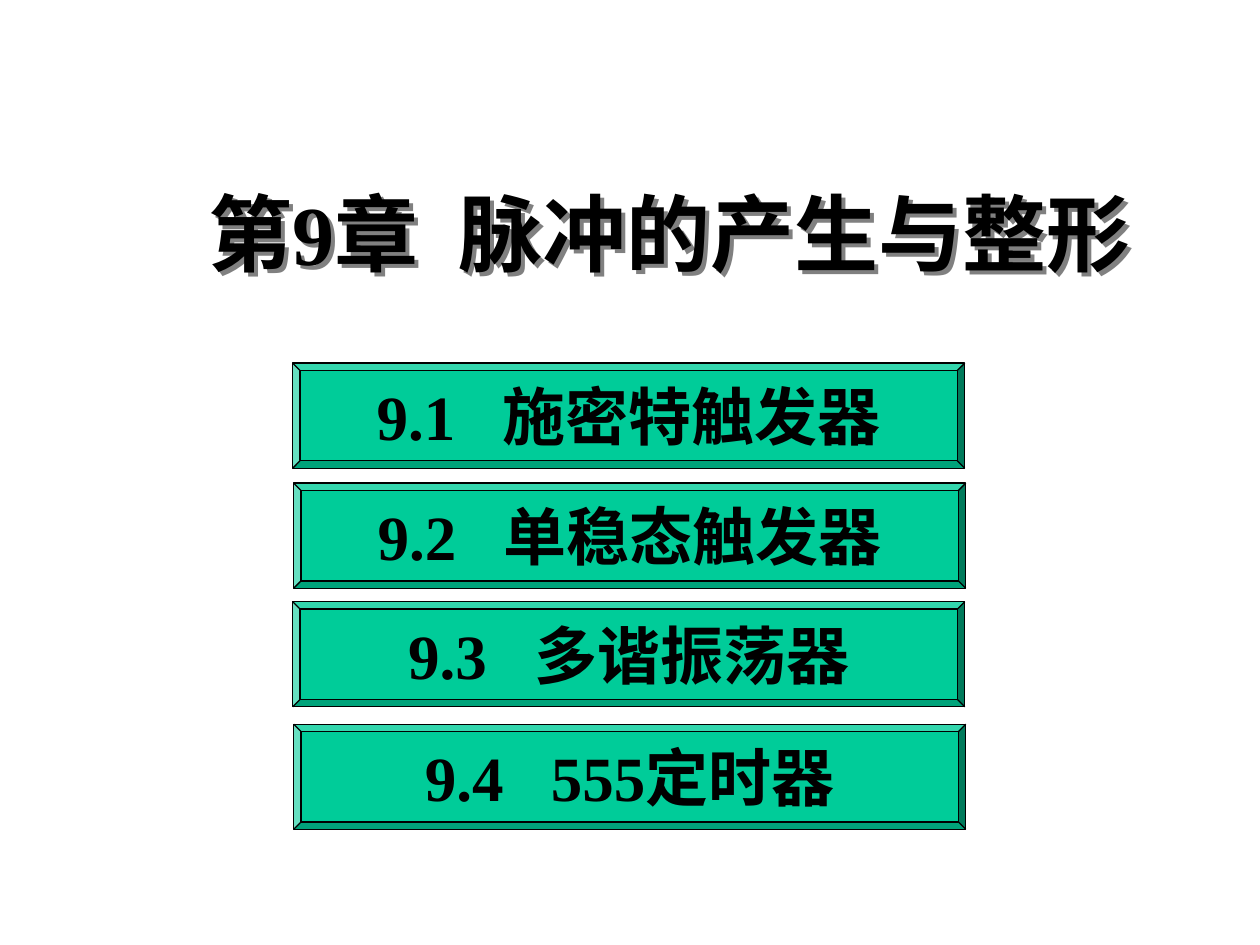
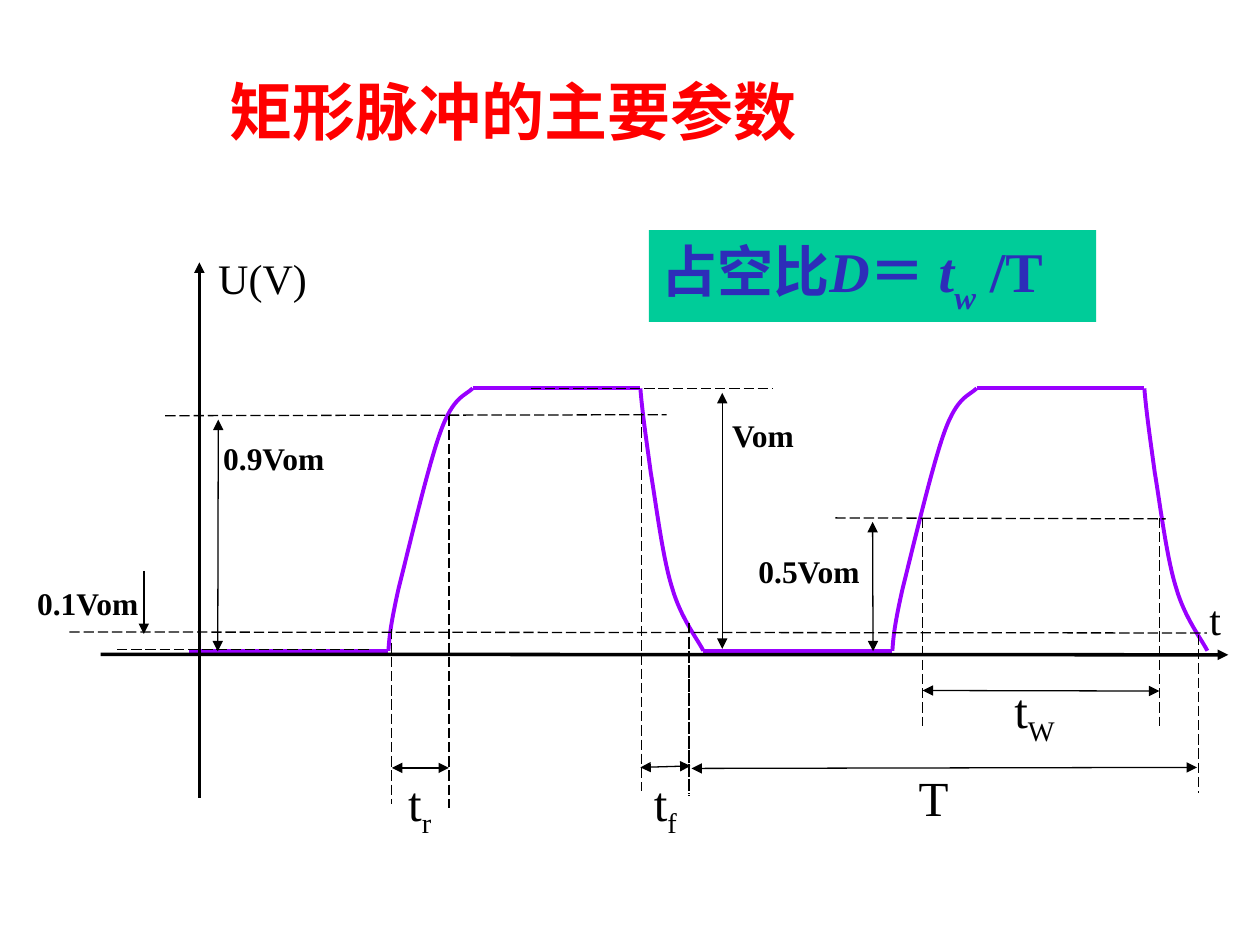
"""Build two slides on pulse generation and the parameters of a rectangular pulse."""
from lxml.etree import SubElement
from pptx import Presentation
from pptx.dml.color import RGBColor
from pptx.enum.dml import MSO_LINE_DASH_STYLE as Dash
from pptx.enum.shapes import MSO_CONNECTOR as Connector, MSO_SHAPE as Shape
from pptx.enum.text import MSO_ANCHOR as Anchor, PP_ALIGN as Align
from pptx.oxml.ns import qn
from pptx.util import Cm, Pt

BLACK, GRAY, RED, BLUE = "000000", "808080", "FF0000", "2D2DB9"
GREEN, PURPLE = "00CC99", "9900FF"
FONT = "Times New Roman"

SECTIONS = [(5.9, 7.32, "9.1", "施密特触发器"), (5.92, 9.74, "9.2", "单稳态触发器"),
            (5.9, 12.13, "9.3", "多谐振荡器"), (5.92, 14.6, "9.4", "555定时器")]

PERIOD = 10.16
BASE_Y, PEAK_Y = 13.12, 7.83
LEAD_STARTS = (3.81, 14.18)
RISE = [(7.83, BASE_Y), (7.85, 12.85), (7.87, 12.6), (8.04, 11.85), (8.23, 11.1),
        (8.64, 9.35), (8.89, 8.68), (9.14, 8), (9.37, 7.98), (9.53, PEAK_Y)]
FALL = [(12.91, PEAK_Y), (12.95, 8.33), (13.03, 8.86), (13.12, 9.53), (13.23, 10.19),
        (13.36, 11.25), (13.55, 11.85), (13.72, 12.45), (14.07, 12.9), (14.18, BASE_Y)]

AXES = [(2.03, 13.19, 24.76, 13.2), (4.02, 16.08, 4.02, 5.29)]
LEVEL_GUIDES = [(10.7, PEAK_Y, 15.57, PEAK_Y), (3.33, 8.38, 13.44, 8.36),
                (16.84, 10.44, 23.5, 10.46), (1.4, 12.74, 24.33, 12.76),
                (2.36, 13.09, 7.44, 13.09)]
TIME_GUIDES = [(7.89, 12.67, 16.21), (9.05, 8.38, 16.28), (12.93, 8.33, 15.95),
               (13.89, 12.55, 16), (13.89, 12.88, 16.05), (18.6, 10.44, 14.63),
               (23.37, 10.44, 14.63), (24.16, 12.8, 15.98)]
DIMENSIONS = [(13.94, 15.49, 24.13, 15.47), (17.59, 10.52, 17.6, 13.13),
              (18.6, 13.92, 23.37, 13.93), (4.39, 13.13, 4.4, 8.46),
              (7.9, 15.48, 9.05, 15.48), (12.91, 15.47, 13.92, 15.44),
              (14.56, 7.92, 14.56, 13.08)]

AXIS_STYLE = {"size": Pt(24)}
TIME_STYLE = {"size": Pt(28)}
LEVEL_STYLE = {"size": Pt(18), "bold": True}
TITLE_STYLE = {"size": Pt(36), "bold": True}
CHAPTER_STYLE = {"size": Pt(48), "bold": True}
DUTY_STYLE = {"size": Pt(32), "bold": True}
SUBSCRIPT = {"baseline": "-25000"}

LABELS = [
    (24.13, 11.84, 0.84, 1.27, AXIS_STYLE, [("t", {})]),
    (4.15, 4.97, 2.97, 1.27, AXIS_STYLE, [("U(V)", {})]),
    (18.27, 15.34, 1.3, 1.45, TIME_STYLE, [("T", {})]),
    (20.2, 13.58, 1.73, 1.6, TIME_STYLE, [("t", {}), ("W", SUBSCRIPT)]),
    (7.98, 15.44, 1.96, 1.6, TIME_STYLE, [("t", {}), ("r", SUBSCRIPT)]),
    (12.93, 15.44, 1.6, 1.6, TIME_STYLE, [("t", {}), ("f", SUBSCRIPT)]),
    (14.51, 8.26, 2.34, 1.02, LEVEL_STYLE, [("Vom", {})]),
    (4.25, 8.73, 2.74, 1.02, LEVEL_STYLE, [("0.9Vom", {})]),
    (15.04, 11, 3.61, 1.02, LEVEL_STYLE, [("0.5Vom", {})]),
    (0.5, 11.65, 2.74, 1.02, LEVEL_STYLE, [("0.1Vom", {})]),
]


def color(hex_value):
    """Turn a hex string into a colour."""
    return RGBColor.from_string(hex_value)


def write_runs(shape, runs, style, text_color=BLACK, align=Align.LEFT, wrap=True,
               anchor=Anchor.TOP):
    """Fill a shape with one paragraph of runs; each run may add text attributes."""
    frame = shape.text_frame
    frame.word_wrap, frame.vertical_anchor = wrap, anchor
    paragraph = frame.paragraphs[0]
    paragraph.alignment = align
    for text, attributes in runs:
        run = paragraph.add_run()
        run.text = text
        for name, value in {"name": FONT, **style}.items():
            setattr(run.font, name, value)
        run.font.color.rgb = color(text_color)
        for name, value in attributes.items():
            run.font._element.set(name, value)


def add_text(slide, left, top, width, height, style, runs, **options):
    """Add a text box."""
    box = slide.shapes.add_textbox(Cm(left), Cm(top), Cm(width), Cm(height))
    write_runs(box, runs, style, **options)
    return box


def add_panel(slide, kind, left, top, width, height):
    """Add a green shape without shadow or outline."""
    shape = slide.shapes.add_shape(kind, Cm(left), Cm(top), Cm(width), Cm(height))
    shape.shadow.inherit = False
    shape.fill.solid()
    shape.fill.fore_color.rgb = color(GREEN)
    shape.line.fill.background()
    return shape


def add_line(slide, x1, y1, x2, y2, line_color=BLACK, width=0.75, dash=None, arrows=()):
    """Add a straight line with optional dashes and arrowheads."""
    line = slide.shapes.add_connector(Connector.STRAIGHT, Cm(x1), Cm(y1), Cm(x2), Cm(y2))
    line.line.color.rgb = color(line_color)
    line.line.width = Pt(width)
    if dash:
        line.line.dash_style = dash
    for end in arrows:
        SubElement(line.line._get_or_add_ln(), qn(f"a:{end}"), type="triangle")
    SubElement(line._element.spPr, qn("a:effectLst"))


def bend_segments(curve):
    """Turn every three straight segments of a freeform into one cubic curve."""
    outline = next(curve._element.iter(qn("a:path")))
    segments = outline.findall(qn("a:lnTo"))
    for start in range(0, len(segments), 3):
        cubic = SubElement(outline, qn("a:cubicBezTo"))
        for segment in segments[start:start + 3]:
            cubic.append(segment[0])
            outline.remove(segment)


def add_curve(slide, controls, offset):
    """Draw an open purple curve moved right by the offset."""
    points = [(Cm(x + offset), Cm(y)) for x, y in controls]
    builder = slide.shapes.build_freeform(*points[0])
    builder.add_line_segments(points[1:], close=False)
    curve = builder.convert_to_shape()
    bend_segments(curve)
    curve.shadow.inherit = False
    curve.fill.background()
    curve.line.color.rgb = color(PURPLE)
    curve.line.width = Pt(2.25)


def add_pulse(slide, offset, lead_start):
    """Draw one pulse: lead, rising edge, flat top and falling edge."""
    flats = [(lead_start, BASE_Y, RISE[0][0] + offset, BASE_Y),
             (RISE[-1][0] + offset, PEAK_Y, FALL[0][0] + offset, PEAK_Y)]
    for flat in flats:
        add_line(slide, *flat, line_color=PURPLE, width=2.25)
    for edge in (RISE, FALL):
        add_curve(slide, edge, offset)


def add_text_shadow(box):
    """Give an unfilled text box a small grey shadow, cast by its text."""
    box.fill.background()
    effects = SubElement(box._element.spPr, qn("a:effectLst"))
    shadow = SubElement(effects, qn("a:outerShdw"), dist="35921", dir="2700000")
    SubElement(shadow, qn("a:srgbClr"), val=GRAY)


def add_section(slide, left, top, number, name):
    """Add one bevelled section button."""
    button = add_panel(slide, Shape.BEVEL, left, top, 13.55, 2.12)
    button.adjustments[0] = 0.07
    button.line.color.rgb = color(BLACK)
    button.line.width = Pt(0.75)
    write_runs(button, [(number, {}), (" ", {"spc": "1800"}), (name, {})], TITLE_STYLE,
               align=Align.CENTER, wrap=False, anchor=Anchor.MIDDLE)


def build_contents(slide):
    """Fill the chapter contents slide."""
    title = add_text(slide, 3.1, 3.54, 20.8, 2.29, CHAPTER_STYLE,
                     [("第9章", {}), (" ", {"spc": "1200"}), ("脉冲的产生与整形", {})],
                     align=Align.CENTER)
    add_text_shadow(title)
    for section in SECTIONS:
        add_section(slide, *section)


def build_parameters(slide):
    """Fill the slide on pulse parameters."""
    for index, lead_start in enumerate(LEAD_STARTS):
        add_pulse(slide, index * PERIOD, lead_start)
    for axis in AXES:
        add_line(slide, *axis, width=2, arrows=("tailEnd",))
    for guide in LEVEL_GUIDES + [(x, top, x, bottom) for x, top, bottom in TIME_GUIDES]:
        add_line(slide, *guide, dash=Dash.LONG_DASH)
    for dimension in DIMENSIONS:
        add_line(slide, *dimension, arrows=("headEnd", "tailEnd"))
    add_line(slide, 2.9, 11.51, 2.9, 12.78, arrows=("tailEnd",))
    for label in LABELS:
        add_text(slide, *label)
    add_text(slide, 4.37, 1.34, 11.94, 1.78, TITLE_STYLE, [("矩形脉冲的主要参数", {})],
             text_color=RED, wrap=False)
    duty = add_panel(slide, Shape.RECTANGLE, 13.08, 4.64, 9.02, 1.85)
    write_runs(duty, [("占空比", {}), ("D", {"i": "1"}), ("＝ ", {}), ("t", {"i": "1"}),
                      ("w", {"i": "1", "baseline": "-30000"}), (" /T", {})],
               DUTY_STYLE, text_color=BLUE, wrap=False)


def main():
    """Build and save the presentation."""
    presentation = Presentation()
    presentation.slide_width, presentation.slide_height = Cm(25.4), Cm(19.05)
    for build in (build_contents, build_parameters):
        build(presentation.slides.add_slide(presentation.slide_layouts[6]))
    presentation.save("out.pptx")


if __name__ == "__main__":
    main()
